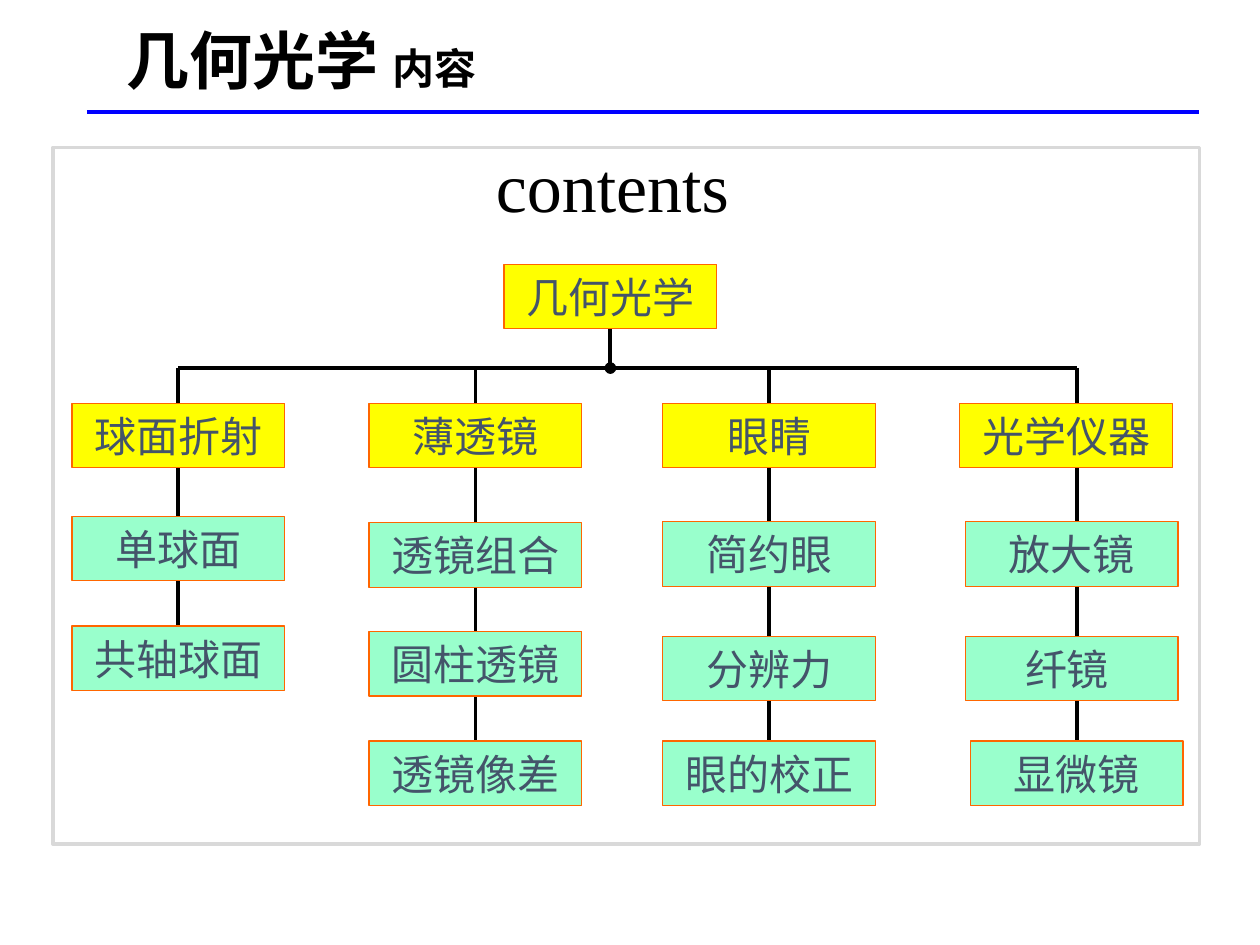
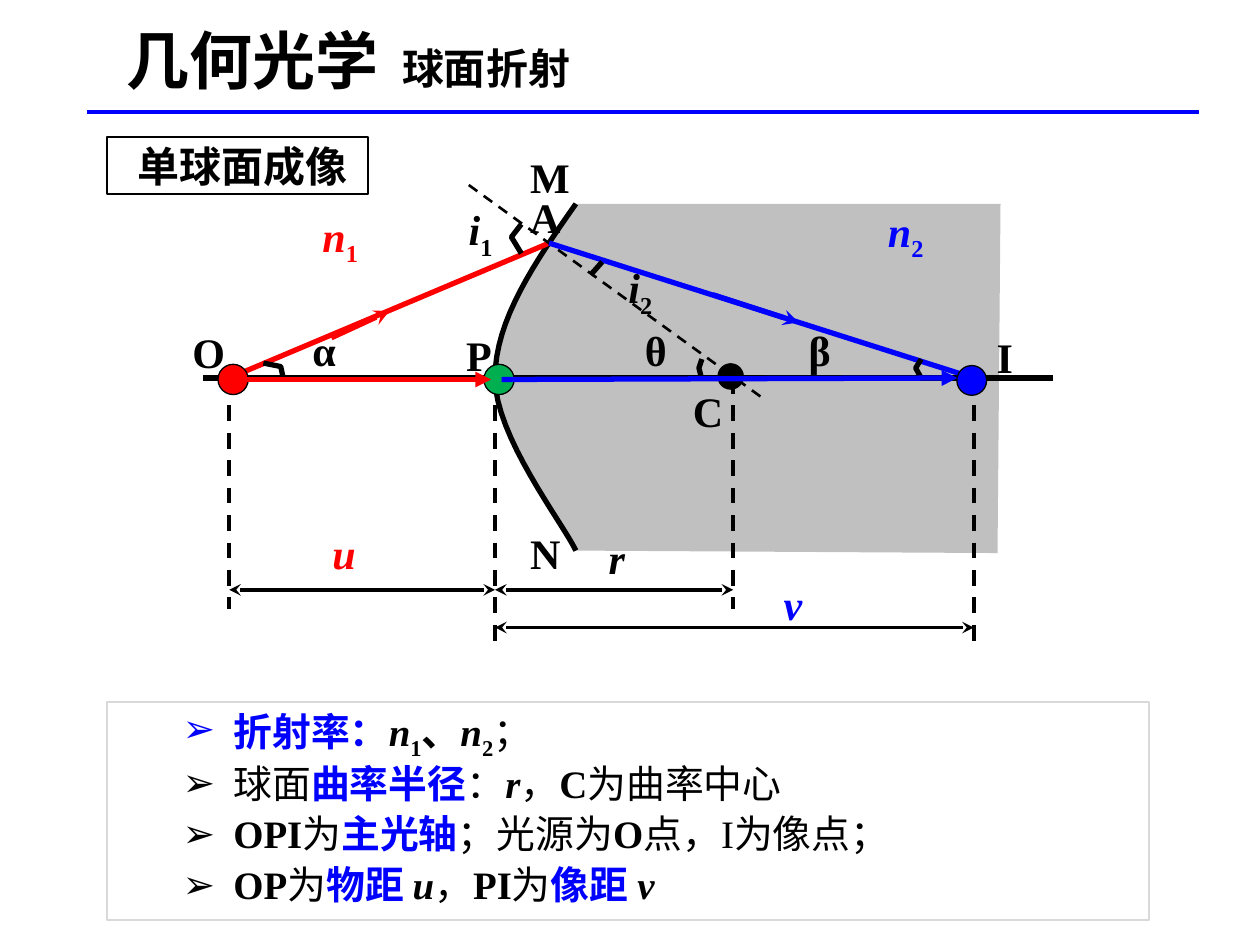
from collections import namedtuple

from lxml import etree
from pptx import Presentation
from pptx import util as u
from pptx.dml.color import RGBColor
from pptx.enum import dml, shapes, text
from pptx.oxml import ns

BLACK = RGBColor(0x00, 0x00, 0x00)
BLUE = RGBColor(0x00, 0x00, 0xFF)
RED = RGBColor(0xFF, 0x00, 0x00)
GREEN = RGBColor(0x00, 0xB0, 0x50)
GLASS = RGBColor(0xC0, 0xC0, 0xC0)
FRAME = RGBColor(0xD9, 0xD9, 0xD9)
YELLOW = RGBColor(0xFF, 0xFF, 0x00)
MINT = RGBColor(0x99, 0xFF, 0xCC)
ORANGE = RGBColor(0xFF, 0x66, 0x00)
SLATE = RGBColor(0x44, 0x54, 0x6A)

SANS = "Calibri"
SERIF = "Times New Roman"

Box = namedtuple("Box", "left top width height")
TITLE = Box(2.29, 0.69, 21.89, 1.22)
TREE = Box(1.07, 2.97, 23.11, 14.05)
HEADING = Box(2.16, 2.77, 5.26, 1.14)
DIAGRAM = Box(4.09, 3.05, 17.15, 10.01)
NOTES = Box(2.16, 14.15, 21.01, 4.39)

NODE_WIDTH, NODE_HEIGHT = 4.29, 1.3
HEAD_TOP, BUS_TOP = 5.16, 4.45

# Each branch: left edge, heading, then (topic, top, shift to the right)
BRANCHES = [
    (0.38, "球面折射", [("单球面", 7.44, 0), ("共轴球面", 9.65, 0)]),
    (6.37, "薄透镜", [("透镜组合", 7.57, 0), ("圆柱透镜", 9.76, 0),
                   ("透镜像差", 11.97, 0)]),
    (12.29, "眼睛", [("简约眼", 7.55, 0), ("分辨力", 9.86, 0),
                   ("眼的校正", 11.97, 0)]),
    (18.28, "光学仪器", [("放大镜", 7.55, 0.11), ("纤镜 ", 9.86, 0.11),
                     ("显微镜", 11.97, 0.21)]),
]

# Diagram lengths are measured from the vertex P of the refracting surface
P, O, C, I, A = (0, 0), (-5.36, 0), (4.8, 0), (9.65, 0), (1.09, -2.72)
SURFACE = [
    [(1.63, -3.51), (0.81, -2.34), (0, -1.17), (0, 0)],
    [(0, 0), (0, 1.17), (1.35, 2.9), (1.63, 3.48)],
]
GLASS_CORNERS = [(10.13, 3.53), (10.19, -3.51)]
ANGLE_MARKS = [
    [(-4.27, 0), (-4.32, -0.23), (-4.67, -0.3)],
    [(0.53, -3.1), (0.33, -2.84), (0.53, -2.51)],
    [(2.16, -2.34), (1.93, -2.08)],
    [(4.17, -0.38), (4.11, -0.2), (4.17, 0.03)],
    [(8.59, -0.38), (8.48, -0.2), (8.59, 0)],
]
POINT_LABELS = [
    ("M", 0.71, -4.57), ("N", 0.71, 3.02), ("P", -0.58, -0.97),
    ("O", -6.1, -1.04), ("I", 10.11, -0.94), ("A", 0.71, -3.76),
    ("C", 3.99, 0.15), ("α", -3.68, -1.07), ("θ", 3.02, -1.07),
    ("β", 6.32, -1.07),
]
# Symbol, subscript, position and colour
QUANTITY_LABELS = [
    ("n", "1", -3.48, -3.38, RED), ("n", "2", 7.92, -3.48, BLUE),
    ("i", "1", -0.53, -3.51, BLACK), ("i", "2", 2.69, -2.34, BLACK),
    ("u", "", -3.28, 3.02, RED), ("v", "", 5.82, 4.04, BLUE),
    ("r", "", 2.29, 3.12, BLACK),
]
# Style letters: b bold, i italic, s subscript, k blue key term
DEFINITIONS = [
    [("折射率：", "bk"), ("n", "bi"), ("1", "bs"), ("、", "b"), ("n", "bi"),
     ("2", "bs"), ("；", "")],
    [("球面", ""), ("曲率半径", "bk"), ("：", ""), ("r", "bi"), ("，", ""),
     ("C", "b"), ("为曲率中心", "")],
    [("OPI", "b"), ("为", ""), ("主光轴", "bk"), ("；光源为", ""), ("O", "b"),
     ("点，I为像点；", "")],
    [("OP", "b"), ("为", ""), ("物距 ", "bk"), ("u", "bi"), ("，", ""),
     ("PI", "b"), ("为", ""), ("像距 ", "bk"), ("v", "bi")],
]


def add_run(paragraph, words, size, color=BLACK, face=SERIF, style=""):
    run = paragraph.add_run()
    run.text = words
    font = run.font
    font.name, font.size = face, u.Pt(size)
    font.bold, font.italic = "b" in style, "i" in style
    font.color.rgb = color
    if "s" in style:
        run._r.get_or_add_rPr().set("baseline", "-25000")


def place(shape, box):
    shape.left, shape.top, shape.width, shape.height = map(u.Cm, box)


def paint(shape, fill=None, line=None, weight=0.75):
    """Give a shape its fill and outline; None leaves that part out."""
    shape.shadow.inherit = False
    for part, color in ((shape.fill, fill), (shape.line.fill, line)):
        if color is None:
            part.background()
        else:
            part.solid()
            part.fore_color.rgb = color
    if line is not None:
        shape.line.width = u.Pt(weight)


def add_preset(slide, preset, box, **look):
    shape = slide.shapes.add_shape(preset, *map(u.Cm, box))
    paint(shape, **look)
    return shape


def add_line(slide, start, end, color=BLACK, weight=2.25, dash=False,
             head=None, tail=None):
    line = slide.shapes.add_connector(shapes.MSO_CONNECTOR.STRAIGHT,
                                      *map(u.Cm, (*start, *end)))
    line.line.color.rgb = color
    line.line.width = u.Pt(weight)
    if dash:
        line.line.dash_style = dml.MSO_LINE.DASH
    properties = line._element.spPr
    outline = properties.find(ns.qn("a:ln"))
    for tag, kind in (("a:headEnd", head), ("a:tailEnd", tail)):
        if kind:
            etree.SubElement(outline, ns.qn(tag), type=kind)
    etree.SubElement(properties, ns.qn("a:effectLst"))
    return line


def add_outline(slide, points, close=False, **look):
    (x, y), *rest = [(u.Cm(x), u.Cm(y)) for x, y in points]
    builder = slide.shapes.build_freeform(x, y)
    builder.add_line_segments(rest, close=close)
    paint(builder.convert_to_shape(), **look)


def add_text_box(slide, box, margin=0.0):
    frame = slide.shapes.add_textbox(*map(u.Cm, box)).text_frame
    frame.word_wrap = True
    frame.margin_left = frame.margin_right = u.Cm(margin)
    frame.margin_top = frame.margin_bottom = u.Cm(margin)
    return frame


def bezier(controls, steps=16):
    """Points along a cubic curve with four control points."""
    for step in range(steps + 1):
        t = step / steps
        weights = ((1 - t) ** 3, 3 * t * (1 - t) ** 2, 3 * t * t * (1 - t), t ** 3)
        yield tuple(sum(w * point[axis] for w, point in zip(weights, controls))
                    for axis in (0, 1))


def start_slide(deck, layout, section):
    """Add a slide with the shared title and the blue rule below it."""
    slide = deck.slides.add_slide(deck.slide_layouts[layout])
    title = slide.shapes.title
    place(title, TITLE)
    frame = title.text_frame
    frame.auto_size = text.MSO_AUTO_SIZE.NONE
    frame.vertical_anchor = text.MSO_ANCHOR.MIDDLE
    paragraph = frame.paragraphs[0]
    paragraph.alignment = text.PP_ALIGN.LEFT
    paragraph.line_spacing = 0.9
    add_run(paragraph, "几何光学 ", 36, face=SANS, style="b")
    add_run(paragraph, section, 24, face=SANS, style="b")
    add_line(slide, (1.75, 2.26), (24.18, 2.26), BLUE, 2.75)
    return slide


def add_node(slide, words, left, top, fill):
    node = add_preset(slide, shapes.MSO_SHAPE.RECTANGLE,
                      (left, top, NODE_WIDTH, NODE_HEIGHT),
                      fill=fill, line=ORANGE)
    frame = node.text_frame
    frame.vertical_anchor = text.MSO_ANCHOR.MIDDLE
    frame.paragraphs[0].alignment = text.PP_ALIGN.CENTER
    add_run(frame.paragraphs[0], words, 24, SLATE, SANS)
    return node


def add_tree(slide, box):
    """Draw the framed chart of contents."""
    caption = add_text_box(slide, (box.left + 0.48, box.top - 0.15, 21.59, 2.01), 0.2)
    caption.vertical_anchor = text.MSO_ANCHOR.MIDDLE
    paragraph = caption.paragraphs[0]
    paragraph.alignment = text.PP_ALIGN.CENTER
    paragraph.line_spacing = 0.9
    add_run(paragraph, "contents", 40)

    bus_y = box.top + BUS_TOP
    spine_xs = []
    for left, heading, topics in BRANCHES:
        last_top, last_shift = topics[-1][1:]
        x = box.left + left + last_shift + NODE_WIDTH / 2
        spine_xs.append(x)
        spine = add_line(slide, (x, bus_y), (x, box.top + last_top))
        add_node(slide, heading, box.left + left, box.top + HEAD_TOP, YELLOW)
        for topic, top, shift in topics:
            node = add_node(slide, topic, box.left + left + shift,
                            box.top + top, MINT)
        spine.end_connect(node, 0)

    root = add_node(slide, "几何光学", box.left + 9.09, box.top + 2.36, YELLOW)
    root_x = box.left + 9.09 + NODE_WIDTH / 2
    add_line(slide, (spine_xs[0], bus_y), (spine_xs[-1], bus_y))
    stem = add_line(slide, (root_x, box.top + 2.36 + NODE_HEIGHT),
                    (root_x, bus_y), tail="oval")
    stem.begin_connect(root, 2)
    add_preset(slide, shapes.MSO_SHAPE.RECTANGLE, box, line=FRAME, weight=2)


def add_heading(slide, box):
    heading = add_preset(slide, shapes.MSO_SHAPE.RECTANGLE, box,
                         line=BLACK, weight=1.25)
    frame = heading.text_frame
    frame.margin_left = u.Cm(0.2)
    frame.margin_right = frame.margin_top = frame.margin_bottom = 0
    frame.vertical_anchor = text.MSO_ANCHOR.MIDDLE
    frame.paragraphs[0].alignment = text.PP_ALIGN.CENTER
    add_run(frame.paragraphs[0], "单球面成像", 24, style="b")


def add_refraction(slide, box):
    """Draw refraction at one spherical surface, laid out from the vertex P."""
    def at(point):
        return box.left + 5.89 + point[0], box.top + 4.57 + point[1]

    def ray(start, end, *look, **ends):
        add_line(slide, at(start), at(end), *look, **ends)

    surface = [at(point) for arc in SURFACE for point in bezier(arc)]
    add_outline(slide, surface + [at(corner) for corner in GLASS_CORNERS],
                close=True, fill=GLASS)
    ray((-5.89, 0), (11.25, 0), BLACK, 3)
    add_outline(slide, surface, line=BLACK, weight=3)
    ray(O, A, RED, 3)
    ray((-0.53, -3.89), (5.36, 0.38), BLACK, 1.5, dash=True)
    ray(A, I, BLUE, 3)
    ray((-3.3, -0.81), (-2.13, -1.35), RED, 3, tail="stealth")
    ray((4.39, -1.68), (6.12, -1.12), BLUE, 3, tail="stealth")

    for point, depth in ((O, 4.65), (P, 5.44), (C, 4.65), (I, 5.44)):
        ray(point, (point[0], depth), dash=True)
    for start, end, depth in ((O, P, 4.27), (P, C, 4.27), (P, I, 5.03)):
        ray((start[0], depth), (end[0], depth), head="stealth", tail="stealth")
    for mark in ANGLE_MARKS:
        add_outline(slide, [at(point) for point in mark], line=BLACK, weight=3)

    for letter, x, y in POINT_LABELS:
        label = add_text_box(slide, (*at((x, y)), 1.07, 0.79))
        add_run(label.paragraphs[0], letter, 24, style="b")
    for symbol, index, x, y, color in QUANTITY_LABELS:
        label = add_text_box(slide, (*at((x, y)), 1.09, 1.17))
        add_run(label.paragraphs[0], symbol, 24, color, style="bi")
        if index:
            add_run(label.paragraphs[0], index, 24, color, style="bs")

    for center, size, color in (((-5.28, 0.03), 0.61, RED),
                                ((9.61, 0.05), 0.6, BLUE),
                                ((0.08, 0.03), 0.61, GREEN),
                                ((4.75, -0.03), 0.51, BLACK)):
        x, y = at(center)
        add_preset(slide, shapes.MSO_SHAPE.OVAL,
                   (x - size / 2, y - size / 2, size, size),
                   fill=color, line=BLACK)
    ray((-5.18, 0.03), (-0.08, 0.03), RED, 3, tail="triangle")
    ray((0.13, 0.03), (9.32, 0), BLUE, 3, tail="triangle")


def set_bullet(paragraph, color):
    properties = paragraph._p.get_or_add_pPr()
    properties.set("marL", str(u.Cm(2.29)))
    properties.set("indent", str(-u.Cm(1.02)))
    tint = etree.SubElement(properties, ns.qn("a:buClr"))
    etree.SubElement(tint, ns.qn("a:srgbClr"), val=str(color))
    etree.SubElement(properties, ns.qn("a:buChar"), char="➢")


def add_definitions(slide, box):
    body = slide.placeholders[1]
    place(body, box)
    body.line.color.rgb = FRAME
    body.line.width = u.Pt(1.25)
    frame = body.text_frame
    frame.auto_size = text.MSO_AUTO_SIZE.NONE
    for number, definition in enumerate(DEFINITIONS):
        paragraph = frame.add_paragraph() if number else frame.paragraphs[0]
        paragraph.line_spacing = 0.9
        paragraph.space_before = u.Pt(5)
        set_bullet(paragraph, BLACK if number else BLUE)
        for words, style in definition:
            add_run(paragraph, words, 22.2, BLUE if "k" in style else BLACK,
                    style=style)


def main():
    deck = Presentation()
    deck.slide_width, deck.slide_height = u.Cm(25.4), u.Cm(19.05)

    contents = start_slide(deck, 5, "内容")
    add_tree(contents, TREE)

    refraction = start_slide(deck, 1, " 球面折射")
    add_heading(refraction, HEADING)
    add_refraction(refraction, DIAGRAM)
    add_definitions(refraction, NOTES)

    deck.save("out.pptx")


if __name__ == "__main__":
    main()
